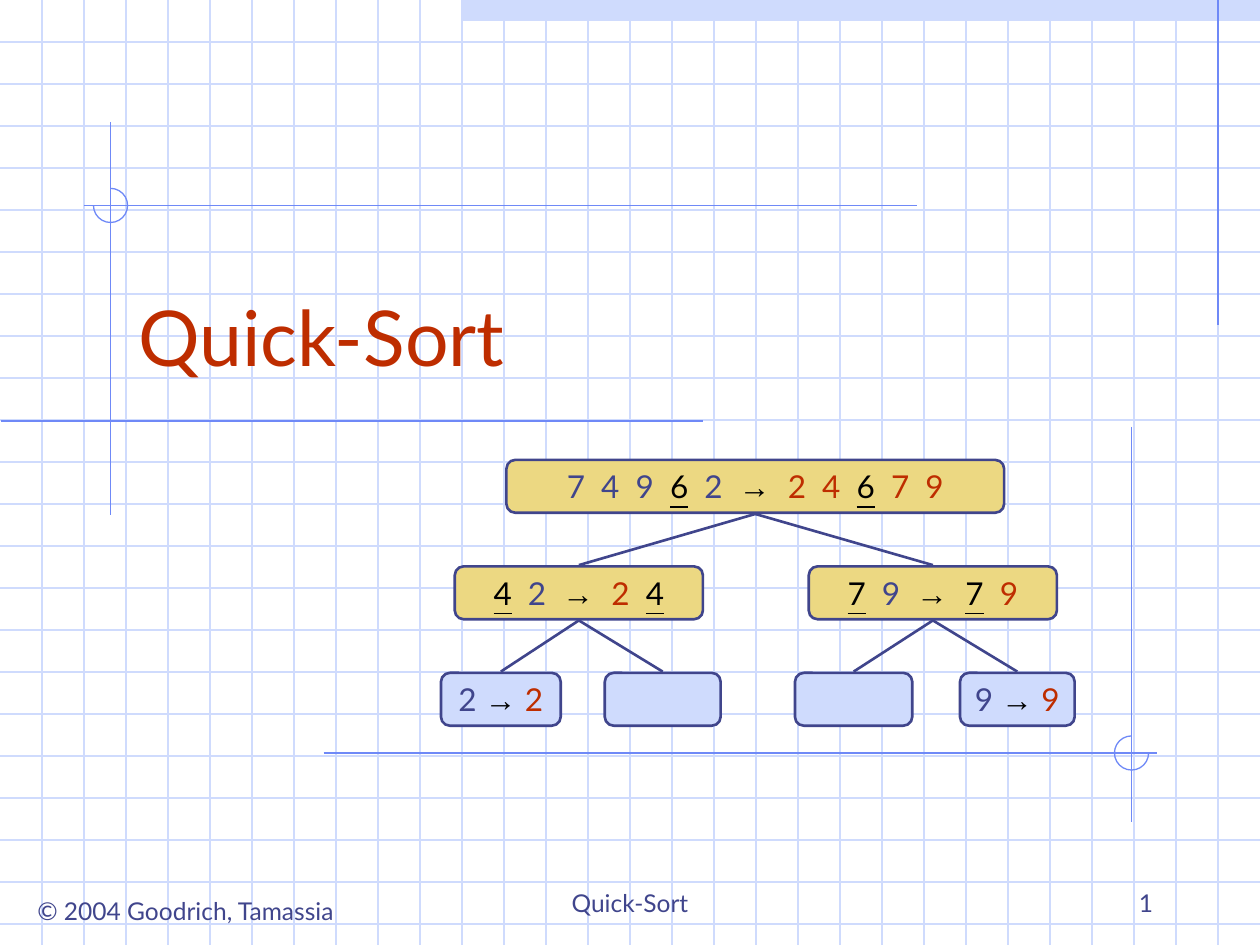
import pptx
import pptx.util
import pptx.dml.color
import pptx.enum.shapes
import pptx.enum.text
import lxml.etree

Pt = pptx.util.Pt
SHAPE = pptx.enum.shapes.MSO_SHAPE
ANCHOR = pptx.enum.text.MSO_ANCHOR
ALIGN = pptx.enum.text.PP_ALIGN
COLORS = {"grid": "CFDBFD", "rule": "6F89F7", "ink": "40458C", "red": "BE2D00",
          "gold": "ECD882", "black": "000000"}
FONT = "Lato"


def color(name):
    return pptx.dml.color.RGBColor.from_string(COLORS[name])


def add_line(s, x1, y1, x2, y2, name, width=0.75):
    c = s.shapes.add_connector(pptx.enum.shapes.MSO_CONNECTOR.STRAIGHT,
                               Pt(x1), Pt(y1), Pt(x2), Pt(y2))
    c.line.color.rgb = color(name)
    c.line.width = Pt(width)
    props = c.element.spPr
    lxml.etree.SubElement(props, "{%s}effectLst" % props.nsmap["a"])


def add_shape(s, kind, x, y, w, h, fill=None, line=None, width=0.75):
    sp = s.shapes.add_shape(kind, Pt(x), Pt(y), Pt(w), Pt(h))
    sp.shadow.inherit = False
    if fill:
        sp.fill.solid()
        sp.fill.fore_color.rgb = color(fill)
    else:
        sp.fill.background()
    if line:
        sp.line.color.rgb = color(line)
        sp.line.width = Pt(width)
    else:
        sp.line.fill.background()
    return sp


def format_run(r, size, name):
    r.font.name = FONT
    r.font.size = Pt(size)
    r.font.color.rgb = color(name)


def add_text(s, text, x, y, w, h, size, name, align, anchor=ANCHOR.BOTTOM, wrap=True):
    tf = s.shapes.add_textbox(Pt(x), Pt(y), Pt(w), Pt(h)).text_frame
    tf.word_wrap = wrap
    tf.vertical_anchor = anchor
    p = tf.paragraphs[0]
    p.text = text
    p.alignment = align
    format_run(p.runs[0], size, name)


def add_backdrop(s, x, y, w, h, step=24):
    add_shape(s, SHAPE.RECTANGLE, x + 264, y, w - 264, 12, "grid")
    for dy in range(step, h, step):
        add_line(s, x, y + dy, x + w, y + dy, "grid")
    for dx in range(step, w, step):
        add_line(s, x + dx, y, x + dx, y + h, "grid")
    add_line(s, x + 696, y, x + 696, y + 186, "rule")


def add_corner(s, x, y, w, h, cross_x, cross_y, start, end):
    add_line(s, x, y + cross_y, x + w, y + cross_y, "rule")
    add_line(s, x + cross_x, y, x + cross_x, y + h, "rule")
    size = 19.5
    sp = add_shape(s, SHAPE.ARC, x + cross_x - size / 2, y + cross_y - size / 2,
                   size, size, line="rule")
    sp.adjustments[0] = start * 0.6
    sp.adjustments[1] = end * 0.6


def add_title(s, x, y, w, h):
    add_text(s, "Quick-Sort", x, y, w, h, 44, "red", ALIGN.LEFT)
    add_line(s, x - 71.5, y + 108.5, x + 329.5, y + 108.5, "rule")


def add_node(s, x, y, w, h, fill, parts):
    sp = add_shape(s, SHAPE.ROUNDED_RECTANGLE, x, y, w, h, fill, "ink", 1.5)
    if not parts:
        return
    tf = sp.text_frame
    tf.word_wrap = False
    tf.vertical_anchor = ANCHOR.MIDDLE
    p = tf.paragraphs[0]
    p.alignment = ALIGN.CENTER
    for text, style in parts:
        r = p.add_run()
        r.text = text
        format_run(r, 18, "black" if style in ("pivot", "arrow") else style)
        r.font.underline = style == "pivot"
        if style == "arrow":
            r.font.name = "Arial"
            r.font.bold = True


def add_tree(s, x, y, row_step=60.85, node_h=30.2):
    arrow, short_arrow = ("→  ", "arrow"), ("→ ", "arrow")
    nodes = [
        (0, 37.4, 284.4, [("7  4  9  ", "ink"), ("6", "pivot"), ("  2  ", "ink"), arrow,
                          ("2  4  ", "red"), ("6", "pivot"), ("  7  9", "red")]),
        (1, 7.9, 141.8, [("4", "pivot"), ("  2  ", "ink"), arrow,
                         ("2  ", "red"), ("4", "pivot")]),
        (1, 210.2, 141.8, [("7", "pivot"), ("  9  ", "ink"), arrow,
                           ("7", "pivot"), ("  9", "red")]),
        (2, 0, 68.4, [("2 ", "ink"), short_arrow, ("2", "red")]),
        (2, 93.6, 66.2, []),
        (2, 202.3, 67, []),
        (2, 296.6, 65.5, [("9 ", "ink"), short_arrow, ("9", "red")]),
    ]
    centers = []
    for row, dx, w, parts in nodes:
        add_node(s, x + dx, y + row * row_step, w, node_h,
                 "grid" if row == 2 else "gold", parts)
        centers.append((x + dx + w / 2, y + row * row_step))
    for i, (cx, top) in enumerate(centers[1:]):
        px, parent_top = centers[i // 2]
        add_line(s, px, parent_top + node_h + 0.7, cx, top - 0.7, "ink", 1.5)


def add_footer(s, x, y, w, h):
    add_text(s, "© 2004 Goodrich, Tamassia", x, y + 16.3, 195, 24.5, 14, "ink",
             ALIGN.CENTER, ANCHOR.TOP, False)
    add_text(s, "Quick-Sort", x + 237.4, y, 228, h, 14, "ink", ALIGN.CENTER)
    add_text(s, "1", x + w - 150, y, 150, h, 14, "ink", ALIGN.RIGHT)


def main():
    prs = pptx.Presentation()
    prs.slide_width, prs.slide_height = Pt(720), Pt(540)
    s = prs.slides.add_slide(prs.slide_layouts[6])
    add_backdrop(s, 0, 0, 720, 540)
    add_corner(s, 48, 70, 476, 224.5, 15.2, 47.4, 270, 180)
    add_corner(s, 185, 244, 476, 226, 461.6, 186.3, 0, 270)
    add_footer(s, 8.6, 492, 657.4, 36)
    add_title(s, 72, 132, 612, 90)
    add_tree(s, 252, 262.8)
    prs.save("out.pptx")


if __name__ == "__main__":
    main()
